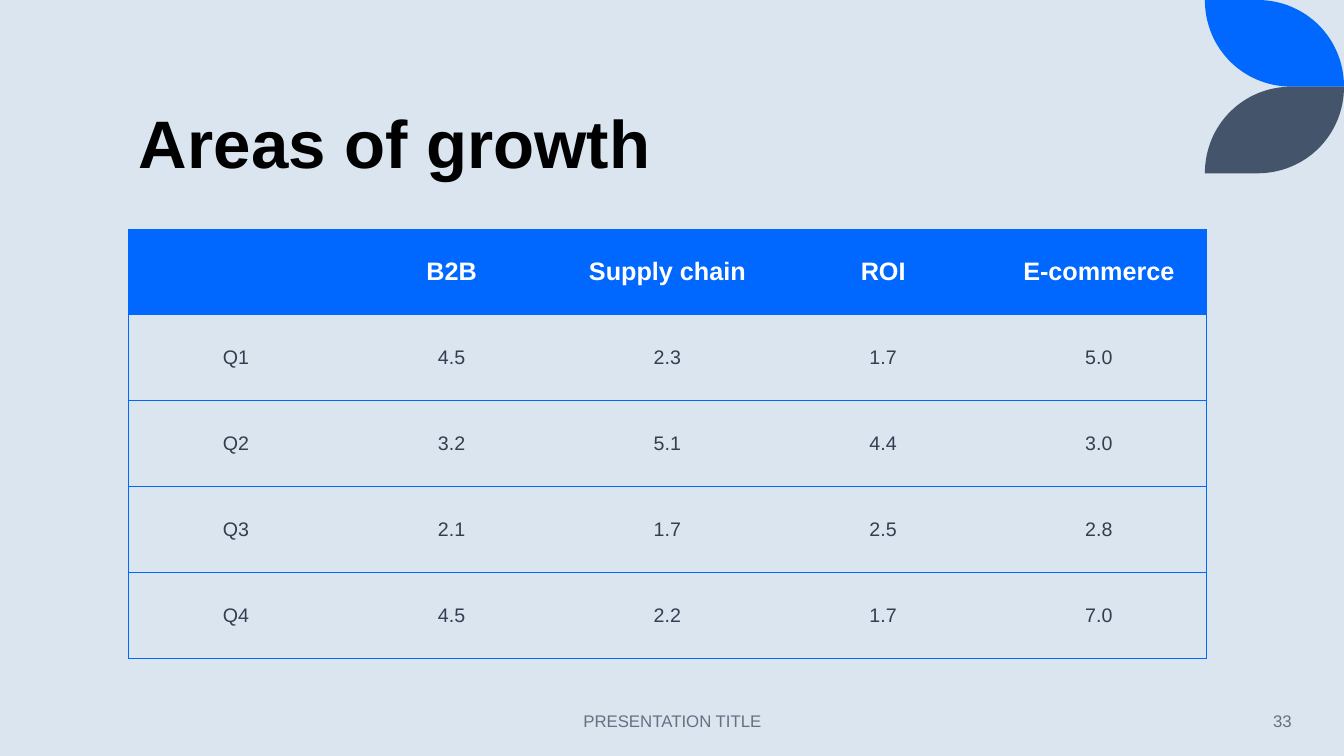
from lxml import etree
from pptx import Presentation, util as u
from pptx.dml.color import RGBColor
from pptx.enum import text
from pptx.oxml import ns

SKY = RGBColor(0xDA, 0xE5, 0xEF)
BLUE = RGBColor(0x00, 0x68, 0xFF)
SLATE = RGBColor(0x44, 0x54, 0x6A)
INK = RGBColor(0x33, 0x3F, 0x50)
GREY = RGBColor(0x63, 0x71, 0x83)
WHITE = RGBColor(0xFF, 0xFF, 0xFF)
BLACK = RGBColor(0x00, 0x00, 0x00)
LEFT, CENTER, RIGHT = text.PP_ALIGN.LEFT, text.PP_ALIGN.CENTER, text.PP_ALIGN.RIGHT
MIDDLE, BOTTOM = text.MSO_ANCHOR.MIDDLE, text.MSO_ANCHOR.BOTTOM

WIDTH, HEIGHT = 13.33, 7.5
TABLE_AREA = (1.27, 2.27, 10.7, 4.26)
LEAF_WIDTH, LEAF_HEIGHT = 1.38, 0.86

GROWTH = [
    ["", "B2B", "Supply chain", "ROI", "E-commerce"],
    ["Q1", "4.5", "2.3", "1.7", "5.0"],
    ["Q2", "3.2", "5.1", "4.4", "3.0"],
    ["Q3", "2.1", "1.7", "2.5", "2.8"],
    ["Q4", "4.5", "2.2", "1.7", "7.0"],
]


def style_text(para, size, color, bold, align):
    para.alignment = align
    for span in para.runs:
        span.font.name = "Arial"
        span.font.size = u.Pt(size)
        span.font.bold = bold
        span.font.color.rgb = color


def add_border(cell, side, visible):
    """Draw a thin blue edge (side is L, R, T or B), or hide that edge."""
    line = etree.SubElement(cell._tc.get_or_add_tcPr(), ns.qn("a:ln" + side), w=str(u.Pt(0.5)))
    if visible:
        fill = etree.SubElement(line, ns.qn("a:solidFill"))
        etree.SubElement(fill, ns.qn("a:srgbClr"), val=str(BLUE))
    else:
        etree.SubElement(line, ns.qn("a:noFill"))


deck = Presentation()
deck.slide_width, deck.slide_height = u.Inches(WIDTH), u.Inches(HEIGHT)
page = deck.slides.add_slide(deck.slide_layouts[6])
page.background.fill.solid()
page.background.fill.fore_color.rgb = SKY

# Each half of a leaf is a straight edge and a quarter circle (two handles and an end)
upper_half = [(0.52, 0), (1.0, 0), (LEAF_WIDTH, 0.38), (LEAF_WIDTH, LEAF_HEIGHT)]
lower_half = [(LEAF_WIDTH - x, LEAF_HEIGHT - y) for x, y in upper_half]
for color, direction in ((BLUE, 1), (SLATE, -1)):
    outline = [
        (u.Inches(WIDTH - LEAF_WIDTH + x), u.Inches(LEAF_HEIGHT + direction * (y - LEAF_HEIGHT)))
        for x, y in [(0, 0)] + upper_half + lower_half
    ]
    builder = page.shapes.build_freeform(*outline[0], scale=1.0)
    builder.add_line_segments(outline[1:], close=True)
    leaf = builder.convert_to_shape()
    segments = list(leaf._element.iter(ns.qn("a:lnTo")))
    for first in (1, 5):
        curve = etree.Element(ns.qn("a:cubicBezTo"))
        segments[first].addprevious(curve)
        for segment in segments[first:first + 3]:
            curve.append(segment[0])
            segment.getparent().remove(segment)
    leaf.shadow.inherit = False
    leaf.fill.solid()
    leaf.fill.fore_color.rgb = color
    leaf.line.fill.background()

for words, area, size, color, bold, align, anchor in (
    ("Areas of growth", (1.28, 0.14, 10.69, 1.72), 48, BLACK, True, LEFT, BOTTOM),
    ("PRESENTATION TITLE", (4.42, 6.95, 4.5, 0.4), 12, GREY, False, CENTER, MIDDLE),
    ("33", (11.1, 6.95, 1.81, 0.4), 12, GREY, False, RIGHT, MIDDLE),
):
    frame = page.shapes.add_textbox(*map(u.Inches, area)).text_frame
    frame.word_wrap = True
    frame.vertical_anchor = anchor
    frame.text = words
    style_text(frame.paragraphs[0], size, color, bold, align)
    if anchor == BOTTOM:
        frame.paragraphs[0].line_spacing = 0.9

row_count, column_count = len(GROWTH), len(GROWTH[0])
table = page.shapes.add_table(row_count, column_count, *map(u.Inches, TABLE_AREA)).table
table.horz_banding = False
for row, values in enumerate(GROWTH):
    header = row == 0
    for column, value in enumerate(values):
        cell = table.cell(row, column)
        if value:
            cell.text = value
        cell.vertical_anchor = MIDDLE
        style_text(cell.text_frame.paragraphs[0], 18 if header else 14,
                   WHITE if header else INK, header, CENTER)
        add_border(cell, "L", column == 0)
        add_border(cell, "R", column == column_count - 1)
        add_border(cell, "T", True)
        add_border(cell, "B", True)
        if header:
            cell.fill.solid()
            cell.fill.fore_color.rgb = BLUE
        else:
            cell.fill.background()

deck.save("out.pptx")
